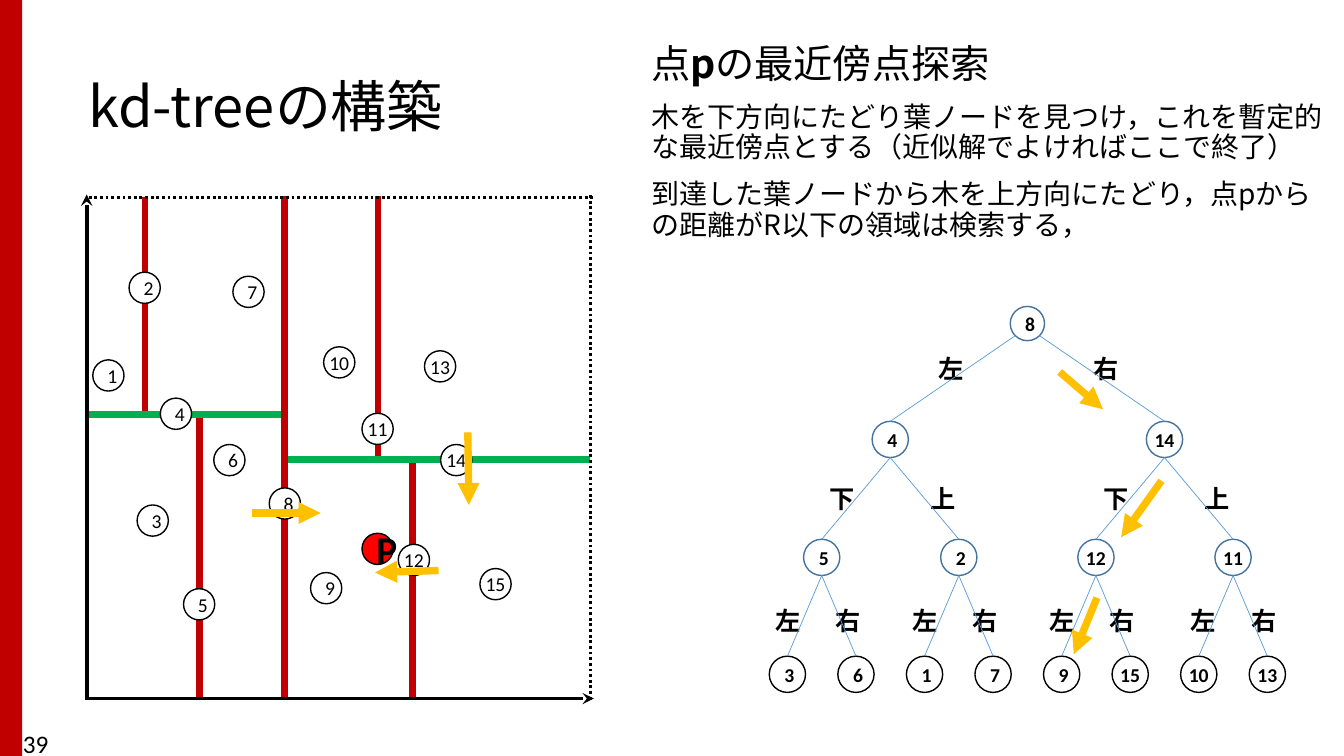
from pptx import Presentation
from pptx.dml.color import RGBColor
from pptx.enum.dml import MSO_LINE
from pptx.enum.shapes import MSO_CONNECTOR, MSO_SHAPE
from pptx.enum.text import MSO_ANCHOR, MSO_AUTO_SIZE, PP_ALIGN
from pptx.oxml.ns import qn
from pptx.util import Inches, Pt
from lxml.etree import SubElement

BLACK, WHITE, RED, GREEN = "000000", "FFFFFF", "C00000", "00B050"
GOLD, EDGE, NODE = "FFC000", "5B9BD5", "43739E"
LATIN, JAPANESE = "Calibri", "Noto Sans CJK JP"
NO_MARGINS = dict.fromkeys(("margin_left", "margin_top", "margin_right", "margin_bottom"), 0)

SPLITS = [
    (3.75, 1.94, 3.75, 4.56, RED), (4.09, 4.57, 4.09, 6.94, RED),
    (1.98, 4.11, 1.98, 6.92, RED), (1.44, 1.95, 1.44, 4.14, RED),
    (2.83, 4.11, 0.85, 4.11, GREEN), (5.85, 4.56, 2.81, 4.56, GREEN),
    (2.82, 1.94, 2.82, 6.94, RED),
]
POINTS = {
    2: (1.28, 2.7), 1: (0.92, 3.57), 8: (2.67, 4.84), 7: (2.31, 2.74), 4: (1.59, 3.95),
    10: (3.21, 3.44), 6: (2.12, 4.41), 3: (1.36, 5.01), 5: (1.82, 5.84), 9: (3.08, 5.68),
    11: (3.59, 4.1), 13: (4.21, 3.48), 15: (4.76, 5.64), 12: (3.95, 5.4), 14: (4.37, 4.41),
}
TREE = [[8], [4, 14], [5, 2, 12, 11], [3, 6, 1, 7, 9, 15, 10, 13]]
NODE_TOPS = [3.04, 4.18, 5.35, 6.51]
BRANCHES = [
    (3.46, (("左", -0.98), ("右", 0.56))),
    (4.75, (("下", -0.7), ("上", 0.3))),
    (5.96, (("左", -0.56), ("右", 0.04))),
]
SEARCH_STEPS = [
    (10.51, 3.69, 10.94, 4.06), (2.5, 5.09, 3.18, 5.09), (4.64, 4.29, 4.65, 5.01),
    (11.52, 4.77, 11.12, 5.33), (4.35, 5.66, 3.72, 5.68), (10.88, 5.93, 10.65, 6.49),
]
BODY = [
    (28, [("点", False), ("p", True), ("の最近傍点探索", False)]),
    (20, [("木を下方向にたどり葉ノードを見つけ，これを暫定的な最近傍点とする（近似解でよければここで終了）", False)]),
    (20, [("到達した葉ノードから木を上方向にたどり，点pからの距離がR以下の領域は検索する，", False)]),
]


def color(value):
    return RGBColor.from_string(value)


def apply(target, values):
    for name, value in values.items():
        setattr(target, name, value)


def add_run(paragraph, text, size, font_name, bold=False):
    run = paragraph.add_run()
    run.text = text
    apply(run.font, {"size": Pt(size), "name": font_name, "bold": bold})
    run.font.color.rgb = color(BLACK)
    if font_name == JAPANESE:
        SubElement(run.font._element, qn("a:ea"), typeface=font_name)


def add_line(slide, start_x, start_y, end_x, end_y, line_color, width, head=None, dash=None):
    line = slide.shapes.add_connector(
        MSO_CONNECTOR.STRAIGHT, Inches(start_x), Inches(start_y), Inches(end_x), Inches(end_y))
    apply(line.line, {"width": Pt(width), "dash_style": dash})
    line.line.color.rgb = color(line_color)
    if head:
        SubElement(line.line._get_or_add_ln(), qn("a:tailEnd"), type=head)
    SubElement(line._element.spPr, qn("a:effectLst"))
    return line


def add_shape(slide, kind, left, top, width, height, fill, outline=None):
    shape = slide.shapes.add_shape(kind, Inches(left), Inches(top), Inches(width), Inches(height))
    shape.shadow.inherit = False
    shape.fill.solid()
    shape.fill.fore_color.rgb = color(fill)
    if outline:
        shape.line.color.rgb = color(outline)
        shape.line.width = Pt(1)
    else:
        shape.line.fill.background()
    return shape


def add_circle(slide, label, left, top, diameter, outline=BLACK, fill=WHITE, size=14, bold=False):
    circle = add_shape(slide, MSO_SHAPE.OVAL, left, top, diameter, diameter, fill, outline)
    frame = circle.text_frame
    margins = NO_MARGINS if len(label) > 1 else {}
    apply(frame, {"vertical_anchor": MSO_ANCHOR.MIDDLE, **margins})
    frame.paragraphs[0].alignment = PP_ALIGN.CENTER
    add_run(frame.paragraphs[0], label, size, LATIN, bold)
    return circle


def add_text_box(slide, left, top, width, height, **frame_format):
    box = slide.shapes.add_textbox(Inches(left), Inches(top), Inches(width), Inches(height))
    apply(box.text_frame, {"word_wrap": True, **frame_format})
    return box.text_frame


def add_title(slide):
    frame = add_text_box(slide, 0.78, 0.69, 4.42, 0.8, vertical_anchor=MSO_ANCHOR.MIDDLE)
    frame.paragraphs[0].line_spacing = 0.9
    add_run(frame.paragraphs[0], "kd-treeの構築", 40, JAPANESE)


def add_body(slide):
    frame = add_text_box(slide, 6.36, 0.39, 6.97, 2.21)
    for index, (size, runs) in enumerate(BODY):
        paragraph = frame.add_paragraph() if index else frame.paragraphs[0]
        apply(paragraph, {"line_spacing": 0.9, "space_before": Pt(6 if index else 0), "space_after": Pt(6)})
        for text, bold in runs:
            add_run(paragraph, text, size, JAPANESE, bold)


def add_plane(slide):
    for split in SPLITS:
        add_line(slide, *split, 4.75)
    add_line(slide, 0.88, 6.93, 5.89, 6.93, BLACK, 2.75, head="stealth")
    add_line(slide, 0.86, 6.94, 0.86, 1.93, BLACK, 2.75, head="stealth")
    for number, (left, top) in POINTS.items():
        add_circle(slide, str(number), left, top, 0.31)
    add_line(slide, 5.86, 6.94, 5.86, 1.93, BLACK, 2, dash=MSO_LINE.ROUND_DOT)
    add_line(slide, 0.88, 1.96, 5.89, 1.96, BLACK, 2, dash=MSO_LINE.ROUND_DOT)


def node_center(level, index):
    leaves = 8 / 2 ** level
    return 7.81 + 0.68 * ((2 * index + 1) * leaves - 1) / 2


def add_branch_labels(slide, level, index):
    top, labels = BRANCHES[level]
    shift = 0.04 if (level, index) == (2, 3) else 0
    for label, offset in labels:
        frame = add_text_box(slide, node_center(level, index) + offset + shift, top, 0.46, 0.4,
                             word_wrap=False, auto_size=MSO_AUTO_SIZE.SHAPE_TO_FIT_TEXT)
        add_run(frame.paragraphs[0], label, 18, JAPANESE, True)


def add_tree(slide):
    for level, numbers in enumerate(TREE):
        top = NODE_TOPS[level]
        diameter = 0.36 if level else 0.34
        outline = BLACK if level == 3 else NODE
        for index, number in enumerate(numbers):
            center = node_center(level, index)
            node = add_circle(slide, str(number), center - diameter / 2, top, diameter, outline, bold=True)
            if level:
                parent_x = node_center(level - 1, index // 2)
                parent_y = NODE_TOPS[level - 1] + 0.36
                if level == 1:
                    parent_x += 0.12 if index else -0.12
                    parent_y = 3.33
                edge = add_line(slide, parent_x, parent_y, center, top, EDGE, 0.5)
                edge.end_connect(node, 0)
            if level < len(BRANCHES):
                add_branch_labels(slide, level, index)


def main():
    presentation = Presentation()
    apply(presentation, {"slide_width": Inches(13.33), "slide_height": Inches(7.5)})
    slide = presentation.slides.add_slide(presentation.slide_layouts[6])
    add_shape(slide, MSO_SHAPE.RECTANGLE, 0, 0, 0.22, 7.5, RED)
    add_title(slide)
    add_body(slide)
    add_plane(slide)
    add_tree(slide)
    add_circle(slide, "P", 3.59, 5.29, 0.31, fill="FF0000", size=28, bold=True)
    for step in SEARCH_STEPS:
        add_line(slide, *step, GOLD, 5.25, head="triangle")
    page_number = add_text_box(slide, 0.13, 7.18, 3, 0.4)
    add_run(page_number.paragraphs[0], "39", 18, LATIN)
    presentation.save("out.pptx")


if __name__ == "__main__":
    main()
